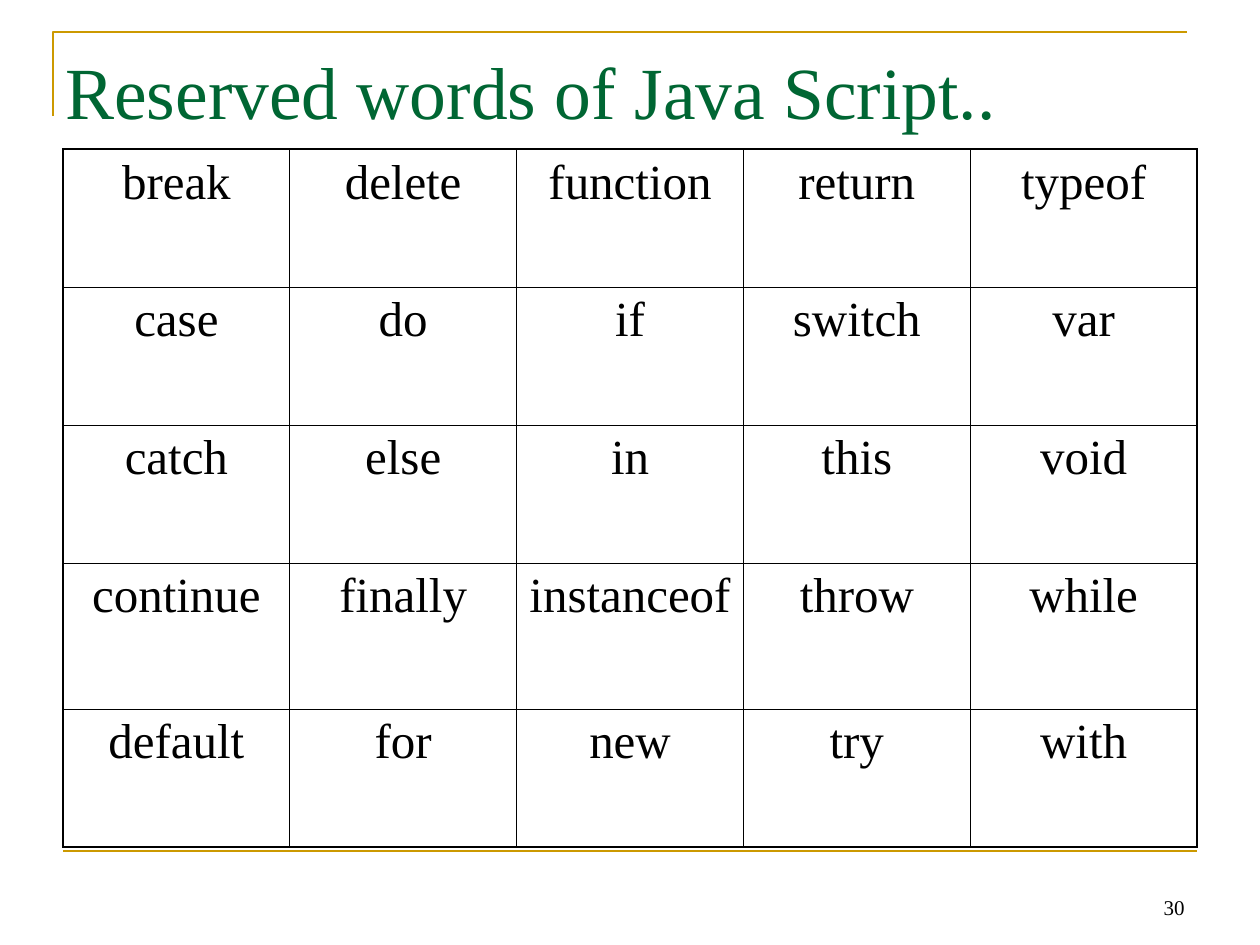
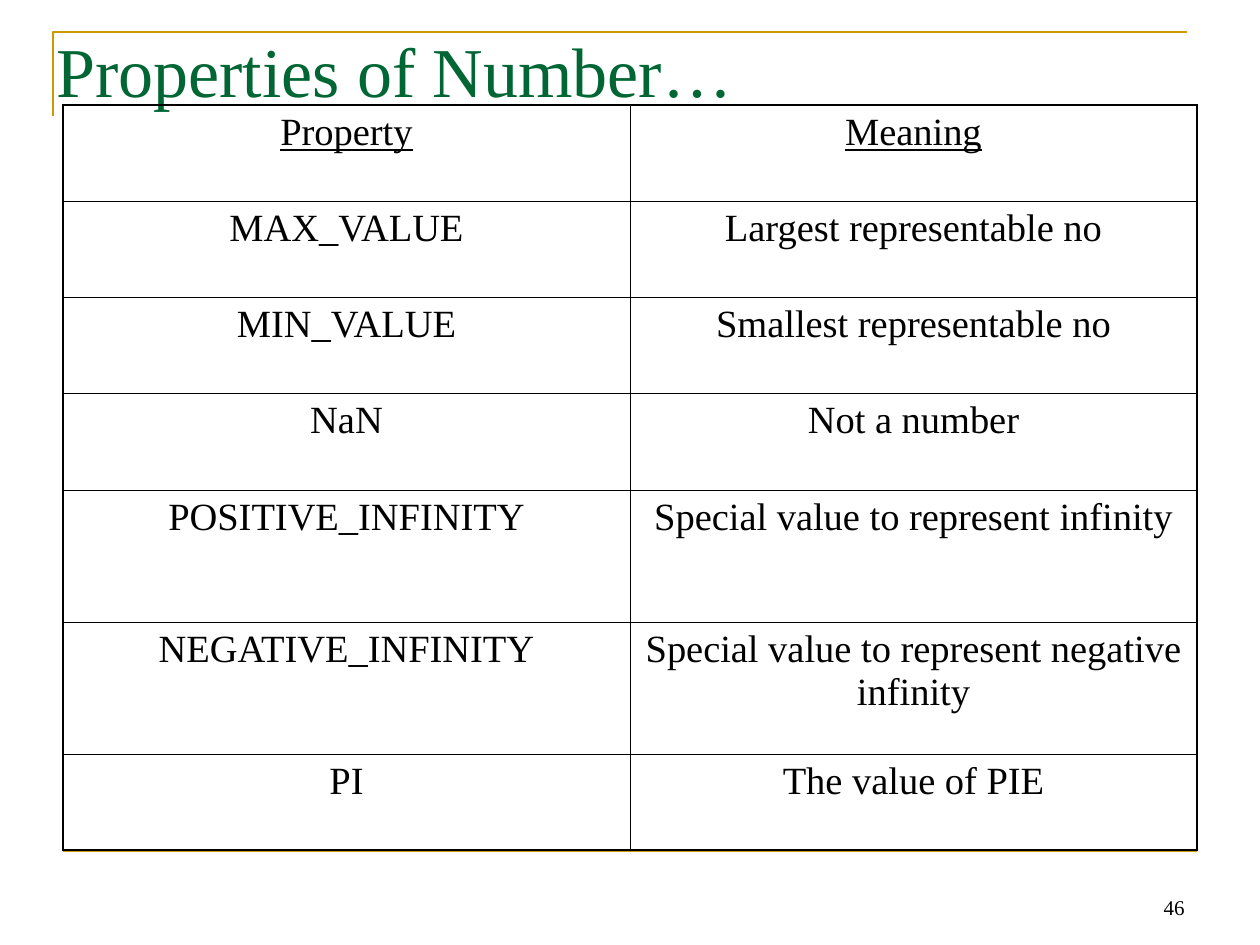
from typing import Any, NamedTuple

from lxml.etree import SubElement
from pptx import Presentation
from pptx.dml.color import RGBColor
from pptx.enum.text import MSO_ANCHOR as Anchor, PP_ALIGN as Align
from pptx.oxml.ns import qn
from pptx.util import Emu, Pt

# Shared scale and style
PX = 914400 / 126
SLIDE_WIDTH, SLIDE_HEIGHT = 1260, 945
FONT = "Times New Roman"
GOLD, GREEN, BLACK = "CC9900", "006633", "000000"
OUTER_BORDER, INNER_BORDER = 1.08, 0.45


class Box(NamedTuple):
    left: int
    top: int
    width: int
    height: int


class WordTable(NamedTuple):
    box: Box
    row_heights: tuple[int, ...]
    rows: tuple[tuple[str, ...], ...]
    size: int
    space_before: float
    header_underlined: bool = False


class TableSlide(NamedTuple):
    title: str
    title_box: Box
    title_size: int
    table: WordTable
    number: str


NUMBER_BOX = Box(903, 861, 294, 65)

# Slide contents
TABLE_SLIDES = (
    TableSlide(
        "Reserved words of Java Script..", Box(53, 32, 1134, 120), 42,
        WordTable(
            Box(63, 149, 1134, 698),
            (138, 138, 138, 146, 138),
            (
                ("break", "delete", "function", "return", "typeof"),
                ("case", "do", "if", "switch", "var"),
                ("catch", "else", "in", "this", "void"),
                ("continue", "finally", "instanceof", "throw", "while"),
                ("default", "for", "new", "try", "with"),
            ),
            size=28, space_before=7,
        ),
        "30",
    ),
    TableSlide(
        "Properties of Number…", Box(44, 14, 1134, 78), 40,
        WordTable(
            Box(63, 105, 1134, 745),
            (96, 96, 96, 97, 132, 132, 96),
            (
                ("Property", "Meaning"),
                ("MAX_VALUE", "Largest representable no"),
                ("MIN_VALUE", "Smallest representable no"),
                ("NaN", "Not a number"),
                ("POSITIVE_INFINITY", "Special value to represent infinity"),
                ("NEGATIVE_INFINITY", "Special value to represent negative infinity"),
                ("PI", "The value of PIE"),
            ),
            size=22, space_before=5.5, header_underlined=True,
        ),
        "46",
    ),
)


def px(length: int) -> Emu:
    return Emu(round(length * PX))


def color(value: str) -> RGBColor:
    return RGBColor.from_string(value)


def apply(target: Any, values: dict[str, Any]) -> None:
    for name, value in values.items():
        setattr(target, name, value)


def write(frame: Any, text: str, size: int, hex_color: str,
          paragraph_format: dict[str, Any], underline: bool = False) -> None:
    paragraph = frame.paragraphs[0]
    apply(paragraph, paragraph_format)
    run = paragraph.add_run()
    run.text = text
    apply(run.font, {"name": FONT, "size": Pt(size), "underline": underline})
    run.font.color.rgb = color(hex_color)


def add_text(slide: Any, box: Box, text: str, size: int, hex_color: str,
             frame_format: dict[str, Any], align: Align) -> None:
    frame = slide.shapes.add_textbox(*map(px, box)).text_frame
    apply(frame, {"word_wrap": True, **frame_format})
    write(frame, text, size, hex_color, {"alignment": align})


# Gold corner and bottom rule
def style_line(shape: Any) -> None:
    shape.line.color.rgb = color(GOLD)
    shape.line.width = Pt(1.5)


def add_frame(slide: Any) -> None:
    builder = slide.shapes.build_freeform(53, 116, scale=PX)
    builder.add_line_segments([(53, 32), (1187, 32)], close=False)
    corner = builder.convert_to_shape()
    corner.fill.background()
    corner.shadow.inherit = False
    style_line(corner)

    rule = slide.shapes.add_connector(1, px(63), px(851), px(1197), px(851))
    style_line(rule)
    SubElement(rule._element.spPr, qn("a:effectLst"))


# Table with a heavier outline
def add_border(cell: Any, side: str, width: float) -> None:
    line = SubElement(cell._tc.get_or_add_tcPr(), qn(f"a:ln{side}"), w=str(Pt(width)))
    fill = SubElement(line, qn("a:solidFill"))
    SubElement(fill, qn("a:srgbClr"), val=BLACK)


def add_word_table(slide: Any, words: WordTable) -> None:
    row_count, column_count = len(words.rows), len(words.rows[0])
    table = slide.shapes.add_table(row_count, column_count, *map(px, words.box)).table
    apply(table, {"first_row": False, "horz_banding": False})
    paragraph_format = {"alignment": Align.CENTER, "space_before": Pt(words.space_before)}
    for row, texts in enumerate(words.rows):
        table.rows[row].height = px(words.row_heights[row])
        for column, text in enumerate(texts):
            cell = table.cell(row, column)
            outer_sides = {
                "L": column == 0,
                "R": column == column_count - 1,
                "T": row == 0,
                "B": row == row_count - 1,
            }
            for side, is_outer in outer_sides.items():
                add_border(cell, side, OUTER_BORDER if is_outer else INNER_BORDER)
            cell.fill.background()
            write(cell.text_frame, text, words.size, BLACK, paragraph_format,
                  underline=words.header_underlined and row == 0)


def add_table_slide(presentation: Any, content: TableSlide) -> None:
    slide = presentation.slides.add_slide(presentation.slide_layouts[6])
    add_frame(slide)
    add_text(slide, content.title_box, content.title, content.title_size, GREEN,
             {"vertical_anchor": Anchor.TOP, "margin_top": px(14), "margin_bottom": 0},
             Align.LEFT)
    add_word_table(slide, content.table)
    add_text(slide, NUMBER_BOX, content.number, 12, BLACK,
             {"vertical_anchor": Anchor.BOTTOM}, Align.RIGHT)


def main() -> None:
    presentation = Presentation()
    apply(presentation, {"slide_width": px(SLIDE_WIDTH), "slide_height": px(SLIDE_HEIGHT)})
    for content in TABLE_SLIDES:
        add_table_slide(presentation, content)
    presentation.save("out.pptx")


if __name__ == "__main__":
    main()
